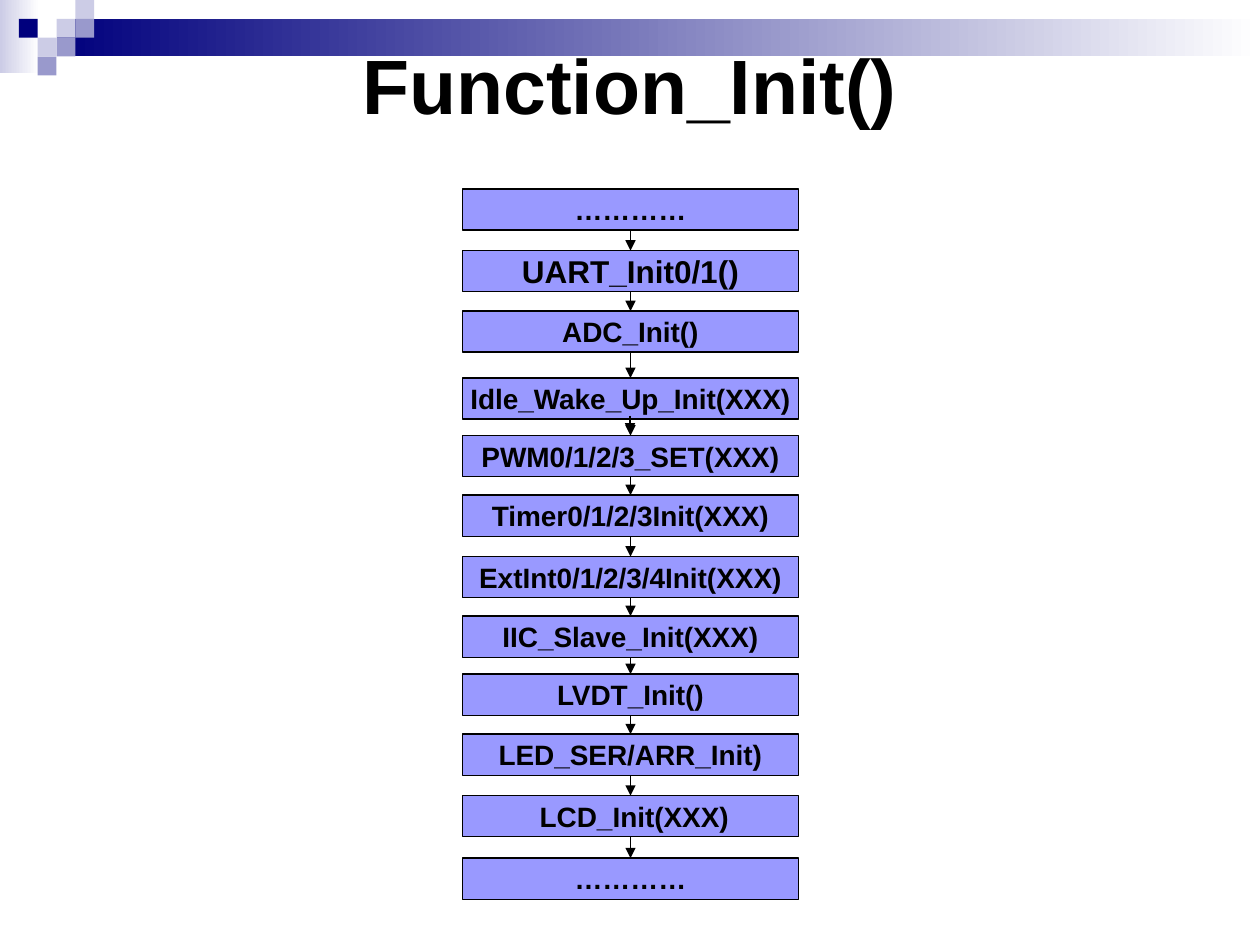
from lxml.etree import SubElement
from pptx import Presentation
from pptx.dml.color import RGBColor
from pptx.enum.shapes import MSO_CONNECTOR, MSO_SHAPE
from pptx.enum.text import MSO_ANCHOR, MSO_AUTO_SIZE, PP_ALIGN
from pptx.oxml.ns import qn
from pptx.util import Cm, Pt

HUES = {
    "navy": "00007D",
    "pale": "CCCCE6",
    "mid": "9999CC",
    "box": "9999FF",
    "ink": "000000",
    "white": "FFFFFF",
}
CELL = 0.38
TILES = [
    (3, 1, "pale"), (4, 0, "pale"), (4, 1, "mid"), (2, 2, "pale"),
    (1, 1, "navy"), (3, 2, "mid"), (2, 3, "mid"),
]
STEPS = [
    (3.81, "…………", 16),
    (5.05, "UART_Init0/1()", 18),
    (6.27, "ADC_Init()", 16),
    (7.62, "Idle_Wake_Up_Init(XXX)", 16),
    (8.78, "PWM0/1/2/3_SET(XXX)", 16),
    (9.98, "Timer0/1/2/3Init(XXX)", 16),
    (11.22, "ExtInt0/1/2/3/4Init(XXX)", 16),
    (12.42, "IIC_Slave_Init(XXX)", 16),
    (13.59, "LVDT_Init()", 16),
    (14.8, "LED_SER/ARR_Init)", 16),
    (16.04, " LCD_Init(XXX)", 16),
    (17.3, "…………", 16),
]


class Chart:
    """Draw the parts of a flow chart on one slide in one style."""

    def __init__(self, slide, font="Arial"):
        self.slide = slide
        self.font = font

    def hue(self, name):
        return RGBColor.from_string(HUES[name])

    def label(self, shape, text, size):
        frame = shape.text_frame
        frame.auto_size = MSO_AUTO_SIZE.NONE
        frame.vertical_anchor = MSO_ANCHOR.MIDDLE
        para = frame.paragraphs[0]
        para.alignment = PP_ALIGN.CENTER
        run = para.add_run()
        run.text = text
        run.font.name = self.font
        run.font.size = Pt(size)
        run.font.bold = True
        run.font.color.rgb = self.hue("ink")

    def title(self, text, left, top, width, height):
        shape = self.slide.shapes.title
        shape.left, shape.top = Cm(left), Cm(top)
        shape.width, shape.height = Cm(width), Cm(height)
        self.label(shape, text, 44)

    def rect(self, left, top, width, height):
        shape = self.slide.shapes.add_shape(
            MSO_SHAPE.RECTANGLE, Cm(left), Cm(top), Cm(width), Cm(height))
        shape.shadow.inherit = False
        shape.line.fill.background()
        return shape

    def tile(self, col, row, hue):
        shape = self.rect(col * CELL, row * CELL, CELL, CELL)
        shape.fill.solid()
        shape.fill.fore_color.rgb = self.hue(hue)

    def fade(self, left, top, width, height, hue):
        fill = self.rect(left, top, width, height).fill
        fill.gradient()
        fill.gradient_angle = 0
        for stop, name, place in zip(fill.gradient_stops, (hue, "white"), (0, 1)):
            stop.color.rgb = self.hue(name)
            stop.position = place

    def step(self, top, text, size):
        shape = self.rect(9.32, top, 6.78, 0.83)
        shape.fill.solid()
        shape.fill.fore_color.rgb = self.hue("box")
        shape.line.color.rgb = self.hue("ink")
        shape.line.width = Pt(0.75)
        shape.text_frame.word_wrap = False
        self.label(shape, text, size)
        return shape

    def arrow(self, x, start, end):
        link = self.slide.shapes.add_connector(
            MSO_CONNECTOR.STRAIGHT, Cm(x), Cm(start), Cm(x), Cm(end))
        link.line.color.rgb = self.hue("ink")
        link.line.width = Pt(0.75)
        props = link.element.spPr
        SubElement(props.find(qn("a:ln")), qn("a:tailEnd"), type="triangle")
        SubElement(props, qn("a:effectLst"))
        return link

    def join(self, above, below):
        link = self.arrow(12.7, 0, 1)
        link.begin_connect(above, 2)
        link.end_connect(below, 0)


def main():
    deck = Presentation()
    deck.slide_width, deck.slide_height = Cm(25.4), Cm(19.05)
    chart = Chart(deck.slides.add_slide(deck.slide_layouts[5]))
    chart.fade(0, 0, 0.79, 1.47, "pale")
    chart.fade(1.14, 0.38, 24.26, 0.76, "navy")
    for tile in TILES:
        chart.tile(*tile)
    chart.title("Function_Init()", 1.27, 1.27, 22.86, 0.84)
    boxes = [chart.step(*step) for step in STEPS]
    for above, below in zip(boxes, boxes[1:]):
        chart.join(above, below)
    chart.arrow(12.7, 8.38, 8.74)
    deck.save("out.pptx")


if __name__ == "__main__":
    main()
